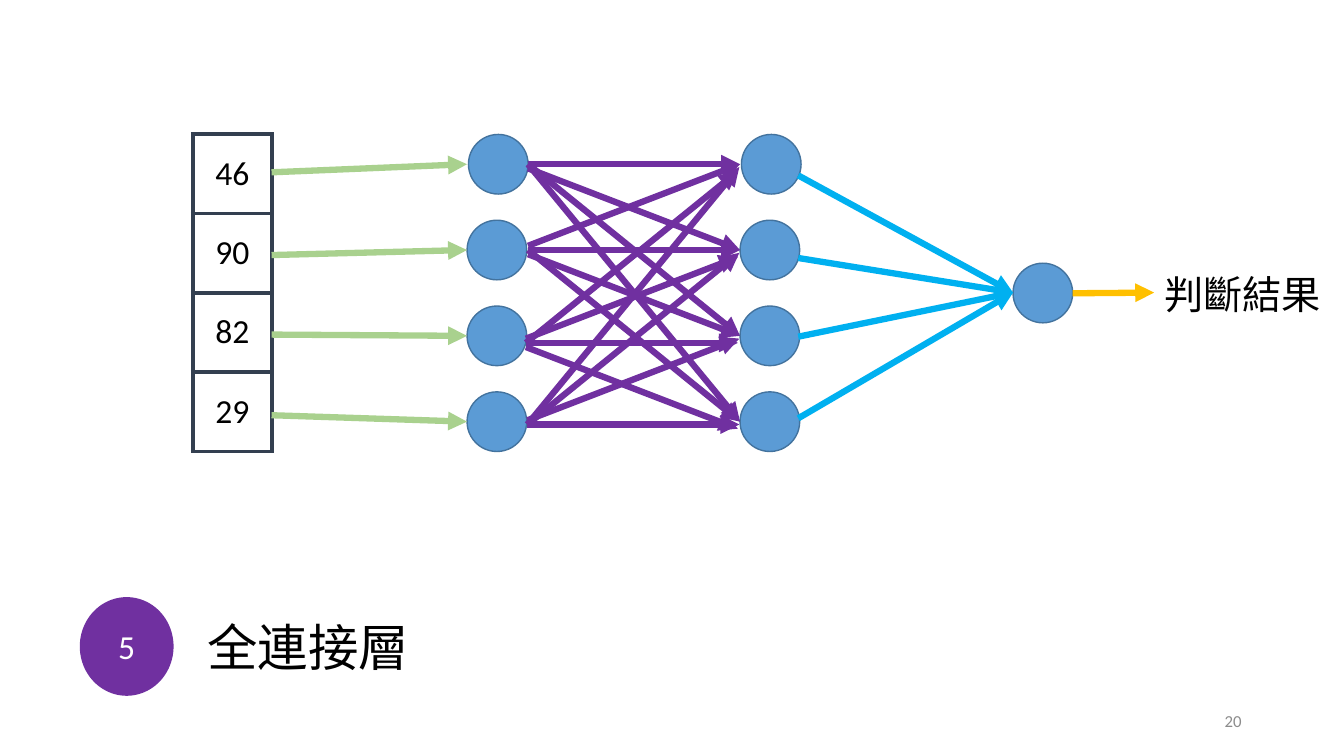
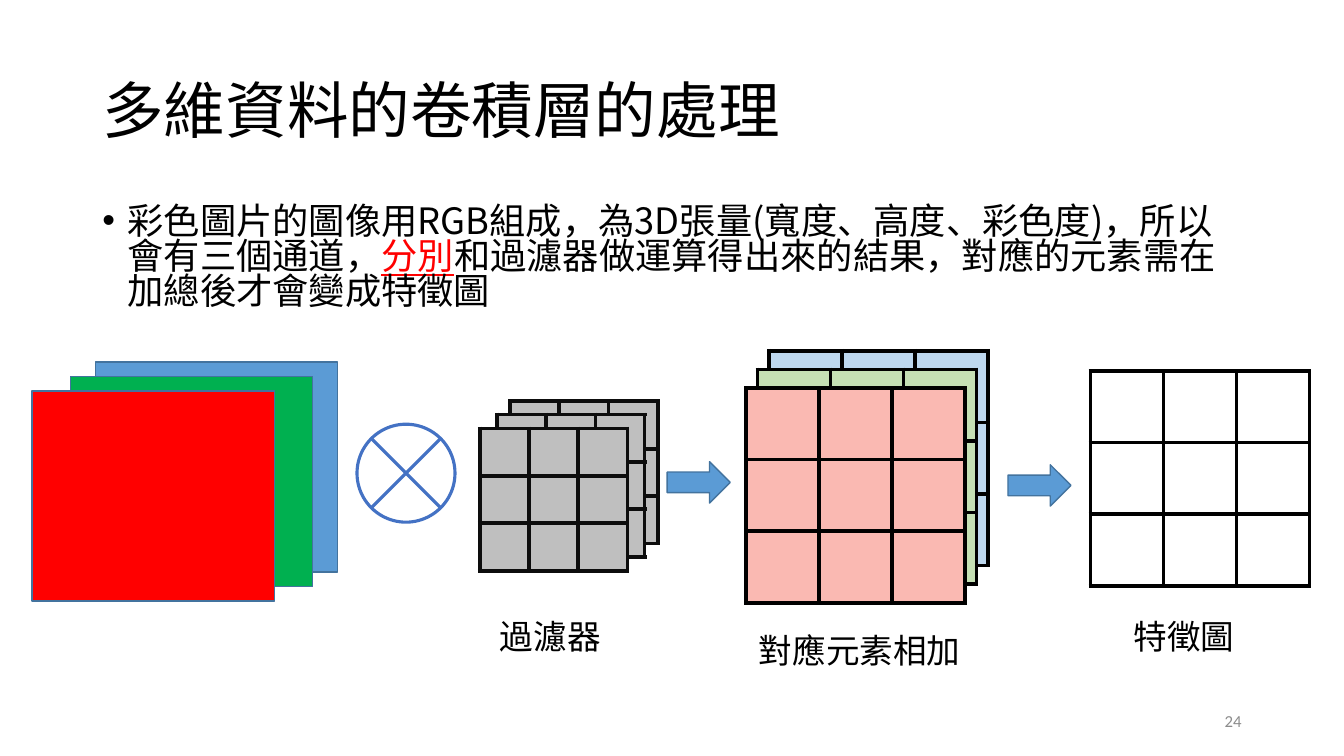
"""Build two slides on fully connected and convolution layers."""
from lxml import etree
from pptx import Presentation
from pptx.dml.color import RGBColor
from pptx.enum.shapes import MSO_CONNECTOR, MSO_SHAPE
from pptx.enum.text import MSO_ANCHOR, PP_ALIGN
from pptx.oxml.ns import qn
from pptx.util import Pt

OVAL = MSO_SHAPE.OVAL
RECT = MSO_SHAPE.RECTANGLE
ARROW = MSO_SHAPE.RIGHT_ARROW
CROSS = MSO_SHAPE.FLOWCHART_SUMMING_JUNCTION
LINE = MSO_CONNECTOR.STRAIGHT
TOP, MIDDLE = MSO_ANCHOR.TOP, MSO_ANCHOR.MIDDLE
LEFT, CENTER, RIGHT = PP_ALIGN.LEFT, PP_ALIGN.CENTER, PP_ALIGN.RIGHT

LATIN, HAN = "Calibri", "Noto Sans CJK SC"
HEX = {
    "black": "000000", "white": "FFFFFF", "ink": "0D0D0D", "slate": "333F50",
    "blue": "5B9BD5", "edge": "43739E", "ring": "4472C4", "purple": "7030A0",
    "lime": "A9D18E", "cyan": "00B0F0", "gold": "FFC000", "red": "FF0000",
    "green": "00B050", "gray": "BFBFBF", "page": "8C8C8C", "sky": "BDD7EE",
    "leaf": "C5E0B4", "rose": "FAB9B2",
}
NODE = 42.6
LAYER = [96 + 61.3 * i for i in range(4)]


def rgb(name):
    return RGBColor.from_string(HEX[name])


def write(frame, text, size=24, font=HAN, color="black", align=LEFT,
          anchor=TOP, space=None, bullet=None):
    frame.word_wrap = True
    frame.vertical_anchor = anchor
    para = frame.paragraphs[0]
    para.alignment = align
    if space:
        para.line_spacing = space
    if bullet:
        props = para._p.get_or_add_pPr()
        props.set("marL", str(Pt(18)))
        props.set("indent", str(-Pt(18)))
        etree.SubElement(props, qn("a:buFont"), typeface="Arial")
        etree.SubElement(props, qn("a:buChar"), char=bullet)
    parts = [(text, None)] if isinstance(text, str) else text
    for words, accent in parts:
        run = para.add_run()
        run.text = words
        run.font.size = Pt(size)
        run.font.name = font
        run.font.color.rgb = rgb(accent or color)
        if accent:
            run.font.underline = True
        etree.SubElement(run._r.get_or_add_rPr(), qn("a:ea"), typeface=font)


def label(slide, text, x, y, w, h, **fmt):
    box = slide.shapes.add_textbox(Pt(x), Pt(y), Pt(w), Pt(h))
    write(box.text_frame, text, **fmt)


def number(slide, text):
    label(slide, text, 678, 500.5, 216, 28.8, size=12, font=LATIN,
          color="page", align=RIGHT, anchor=MIDDLE)


def block(slide, kind, x, y, w, h, fill="blue", edge="edge", width=1):
    shape = slide.shapes.add_shape(kind, Pt(x), Pt(y), Pt(w), Pt(h))
    shape.shadow.inherit = False
    shape.fill.solid()
    shape.fill.fore_color.rgb = rgb(fill)
    if edge:
        shape.line.color.rgb = rgb(edge)
        shape.line.width = Pt(width)
    else:
        shape.line.fill.background()
    return shape


def link(slide, start, end, color):
    wire = slide.shapes.add_connector(LINE, *map(Pt, (*start, *end)))
    wire.line.color.rgb = rgb(color)
    wire.line.width = Pt(4.5)
    props = wire.element.spPr
    etree.SubElement(props.find(qn("a:ln")), qn("a:tailEnd"), type="triangle")
    etree.SubElement(props, qn("a:effectLst"))


def border(cell, color):
    props = cell._tc.get_or_add_tcPr()
    for side in ("lnL", "lnR", "lnT", "lnB"):
        line = etree.SubElement(props, qn(f"a:{side}"), w=str(Pt(3)))
        fill = etree.SubElement(line, qn("a:solidFill"))
        etree.SubElement(fill, qn("a:srgbClr"), val=HEX[color])


def grid(slide, x, y, w, h, rows=3, cols=3, fill="white", edge="black"):
    frame = slide.shapes.add_table(rows, cols, Pt(x), Pt(y), Pt(w), Pt(h))
    table = frame.table
    table.first_row = table.horz_banding = False
    for col in table.columns:
        col.width = Pt(w / cols)
    for row in table.rows:
        row.height = Pt(h / rows)
    for cell in table.iter_cells():
        border(cell, edge)
        cell.fill.solid()
        cell.fill.fore_color.rgb = rgb(fill)
    return table


def dense(slide):
    badge = block(slide, OVAL, 57, 426.5, 67, 70.5, "purple", None)
    write(badge.text_frame, "5", font=LATIN, color="white", align=CENTER,
          anchor=MIDDLE)
    label(slide, "全連接層", 141.1, 436.3, 165, 51, size=36)
    table = grid(slide, 137.7, 95.8, 56.7, 226.8, 4, 1, edge="slate")
    for cell, value in zip(table.iter_cells(), ("46", "90", "82", "29")):
        write(cell.text_frame, value, font=LATIN, align=CENTER)
        cell.vertical_anchor = MIDDLE

    first, second, last = 333.6, 528.6, 723.6
    for x in (first, second):
        for i, y in enumerate(LAYER):
            block(slide, OVAL, x + (i == 0), y, NODE, NODE)
    block(slide, OVAL, last, 188, NODE, NODE)

    mids = [y + NODE / 2 for y in LAYER]
    for y, mid in zip((123.1, 182.2, 239, 296.6), mids):
        link(slide, (194, y), (first, mid), "lime")
    shifts = ((0, 0), (0, 0), (-1.5, 5), (-0.5, 2))
    for i, (dx, dy) in enumerate(shifts):
        for j, mid in enumerate(mids):
            near = 3 * (j - i) if abs(j - i) == 1 else 0
            start = (first + NODE + 1 + dx, mids[i] + dy + near)
            link(slide, start, (second + dx, mid + dy), "purple")
    for y in (125.3, 184.3, 240.5, 298.8):
        link(slide, (570.2, y), (last, 209), "cyan")
    link(slide, (last + NODE, 209.5), (824.4, 209), "gold")
    label(slide, "判斷結果", 824.4, 189.4, 130, 41, size=28)
    number(slide, "20")


def conv(slide):
    label(slide, "多維資料的卷積層的處理", 66, 28.8, 828, 104.4, size=44,
          anchor=MIDDLE, space=0.9)
    label(slide, [
        ("彩色圖片的圖像用RGB組成，為3D張量(寬度、高度、彩色度)，所以會有三個通道，", None),
        ("分別", "red"),
        ("和過濾器做運算得出來的結果，對應的元素需在加總後才會變成特徵圖", None),
    ], 66, 144, 828, 85.7, size=25.9, space=0.8, bullet="•")

    for x, y, fill in ((68, 258.5, "blue"), (50.4, 269, "green"),
                       (23, 279.4, "red")):
        block(slide, RECT, x, y, 173, 150, fill)
    block(slide, CROSS, 255, 303, 70, 70, "white", "ring", 2.25)
    for x, y in ((364.3, 286.6), (355, 296), (342.7, 306)):
        grid(slide, x, y, 105.5, 101.7, fill="gray", edge="ink")
    for i, fill in enumerate(("sky", "leaf", "rose")):
        grid(slide, 549.4 - 8.3 * i, 250.6 + 13.3 * i, 156.5, 153.4, fill=fill)
    grid(slide, 779, 265, 156.5, 153.4)
    for x, y in ((476.6, 329.8), (720, 332)):
        block(slide, ARROW, x, y, 45, 29.5)
    for text, x, y, w in (("過濾器", 350, 436.3, 91),
                          ("特徵圖", 802.8, 436.3, 91),
                          ("對應元素相加", 535, 446.4, 171)):
        label(slide, text, x, y, w, 36)
    number(slide, "24")


def main():
    deck = Presentation()
    deck.slide_width, deck.slide_height = Pt(960), Pt(540)
    for draw in (dense, conv):
        draw(deck.slides.add_slide(deck.slide_layouts[6]))
    deck.save("out.pptx")


if __name__ == "__main__":
    main()
